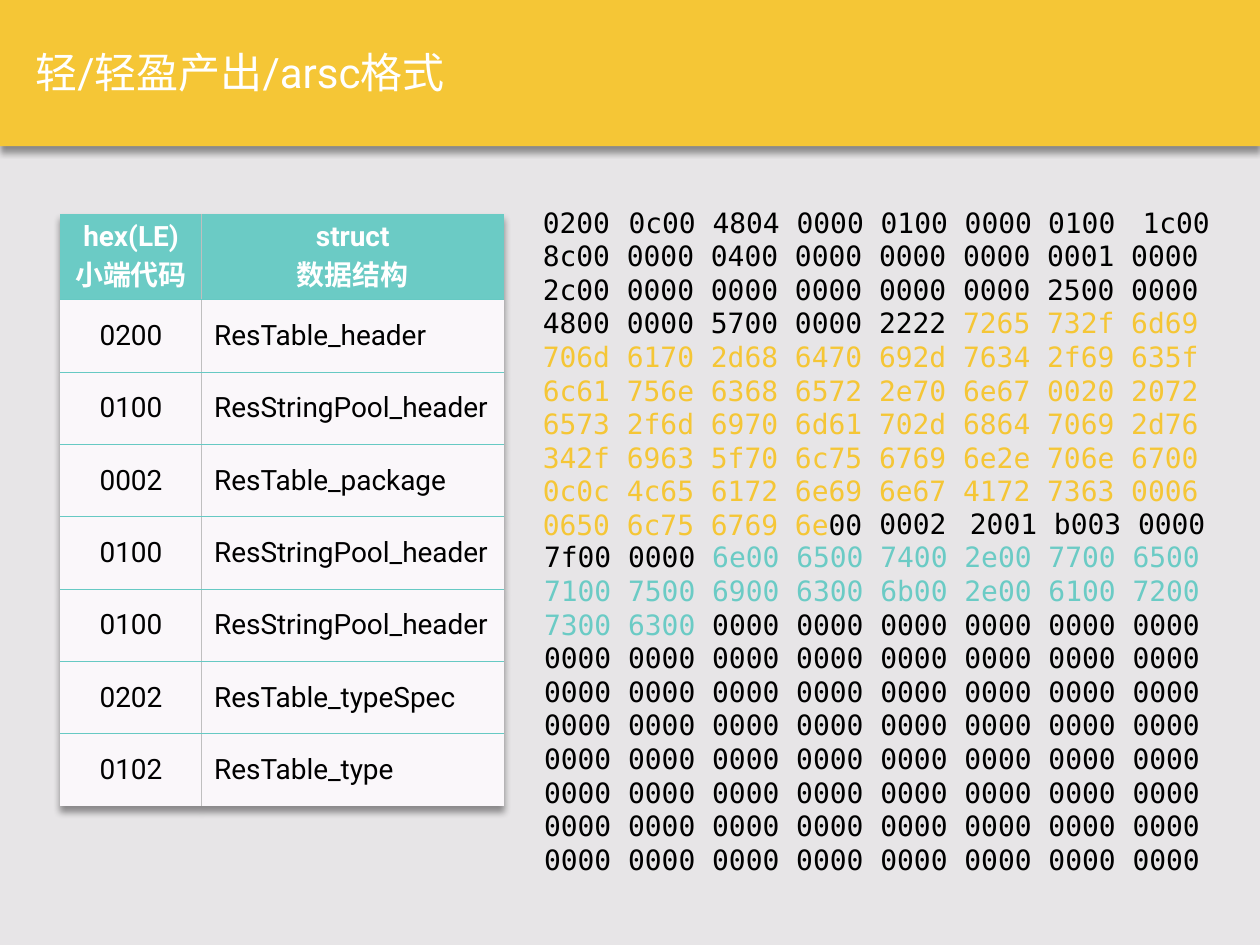
from pptx import Presentation
from pptx.dml.color import RGBColor
from pptx.enum.shapes import MSO_SHAPE
from pptx.enum.text import MSO_ANCHOR, MSO_AUTO_SIZE, PP_ALIGN
from pptx.oxml import parse_xml
from pptx.oxml.ns import nsdecls
from pptx.util import Inches, Pt

HEX = {"back": "E7E5E7", "gold": "F5C636", "teal": "6BCBC5", "rule": "66C9C3",
       "grey": "BFBFBF", "cell": "FAF7FA", "white": "FFFFFF", "black": "000000"}
MONO = "DejaVu Sans Mono"
SHADE = (f'<a:effectLst {nsdecls("a")}><a:outerShdw blurRad="50800" dist="38100" '
         'dir="5400000" algn="t" rotWithShape="0"><a:srgbClr val="000000">'
         '<a:alpha val="40000"/></a:srgbClr></a:outerShdw></a:effectLst>')


def style(font, face, size, color, bold=False):
    font.name, font.size, font.bold = face, Pt(size), bold
    font.color.rgb = RGBColor.from_string(HEX[color])


def paint(fill, color):
    fill.solid()
    fill.fore_color.rgb = RGBColor.from_string(HEX[color])


deck = Presentation()
deck.slide_width, deck.slide_height = Inches(10), Inches(7.5)
slide = deck.slides.add_slide(deck.slide_layouts[5])
paint(slide.background.fill, "back")

# Title on its bar
title = slide.shapes.title
title.left, title.top = Inches(0.18), Inches(-0.02)
title.width, title.height = Inches(5.6), Inches(1.18)
frame = title.text_frame
frame.text = "轻/轻盈产出/arsc格式"
frame.auto_size = MSO_AUTO_SIZE.NONE
frame.vertical_anchor = MSO_ANCHOR.MIDDLE
frame.paragraphs[0].alignment = PP_ALIGN.LEFT
style(frame.paragraphs[0].runs[0].font, "Roboto", 24, "white")

bar = slide.shapes.add_shape(MSO_SHAPE.RECTANGLE, 0, 0, Inches(10), Inches(1.16))
paint(bar.fill, "gold")
bar.line.fill.background()
bar.element.spPr.append(parse_xml(SHADE))
title.element.addprevious(bar.element)

# Table of chunk types
data = [
    ("hex(LE)\n小端代码", "struct\n数据结构"),
    ("0200", "ResTable_header"),
    ("0100", "ResStringPool_header"),
    ("0002", "ResTable_package"),
    ("0100", "ResStringPool_header"),
    ("0100", "ResStringPool_header"),
    ("0202", "ResTable_typeSpec"),
    ("0102", "ResTable_type"),
]
last = len(data) - 1
table = slide.shapes.add_table(len(data), 2, Inches(0.48), Inches(1.7),
                               Inches(3.52), Inches(4.7)).table
table.horz_banding = False
props = table._tbl.tblPr
props[0].text = "{2D5ABB26-0587-4C30-8999-92F81FD0307C}"  # no style, no grid
props.insert(0, parse_xml(SHADE))
table.columns[0].width, table.columns[1].width = Inches(1.12), Inches(2.4)
for r, texts in enumerate(data):
    head = r == 0
    table.rows[r].height = Inches(0.68) if head else Inches(4.02 / last)
    for c, text in enumerate(texts):
        cell = table.cell(r, c)
        cell.text = text
        cell.vertical_anchor = MSO_ANCHOR.MIDDLE
        for para in cell.text_frame.paragraphs:
            para.alignment = PP_ALIGN.CENTER if head or c == 0 else PP_ALIGN.LEFT
            style(para.runs[0].font, "Roboto", 16, "white" if head else "black", head)
        # Grey between columns, teal around every odd row
        lines = [("lnR" if c == 0 else "lnL", "grey", 1)]
        if r % 2:
            lines.append(("lnT", "rule", 0.75))
            if r < last:
                lines.append(("lnB", "rule", 0.75))
        for tag, color, width in lines:
            cell._tc.get_or_add_tcPr().append(parse_xml(
                f'<a:{tag} {nsdecls("a")} w="{Pt(width)}"><a:solidFill>'
                f'<a:srgbClr val="{HEX[color]}"/></a:solidFill></a:{tag}>'))
        paint(cell.fill, "teal" if head else "cell")

# Hex dump: each line is a list of (text, color) spans
zeros = " ".join(["0000"] * 8)
upper = [
    [("1c00", "black")],
    [("8c00 0000 0400 0000 0000 0000 0001 0000", "black")],
    [("2c00 0000 0000 0000 0000 0000 2500 0000", "black")],
    [("4800 0000 5700 0000 2222 ", "black"), ("7265 732f 6d69", "gold")],
    [("706d 6170 2d68 6470 692d 7634 2f69 635f", "gold")],
    [("6c61 756e 6368 6572 2e70 6e67 0020 2072", "gold")],
    [("6573 2f6d 6970 6d61 702d 6864 7069 2d76", "gold")],
    [("342f 6963 5f70 6c75 6769 6e2e 706e 6700", "gold")],
    [("0c0c 4c65 6172 6e69 6e67 4172 7363 0006", "gold")],
    [("0650 6c75 6769 6e", "gold"), ("00", "black")],
]
lower = [
    [("2001 b003 0000", "black")],
    [("7f00 0000 ", "black"), ("6e00 6500 7400 2e00 7700 6500", "teal")],
    [("7100 7500 6900 6300 6b00 2e00 6100 7200", "teal")],
    [("7300 6300", "teal"), (" 0000 0000 0000 0000 0000 0000", "black")],
] + [[(zeros, "black")]] * 7

# left, top, width, height, indent of the first line, lines
blocks = [
    (4.21, 1.58, 0.82, 0.42, 0, [[("0200", "black")]]),
    (4.22, 3.97, 5.6, 3.15, 3.38, lower),
    (4.89, 1.58, 3.54, 0.42, 0, [[("0c00 4804 0000 0100 0000", "black")]]),
    (8.22, 1.58, 0.82, 0.42, 0, [[("0100", "black")]]),
    (4.21, 1.58, 5.6, 2.76, 4.76, upper),
    (6.88, 3.97, 0.82, 0.42, 0, [[("0002", "black")]]),
]
for left, top, width, height, indent, rows in blocks:
    box = slide.shapes.add_textbox(Inches(left), Inches(top), Inches(width), Inches(height))
    frame = box.text_frame
    frame.word_wrap = True
    for i, spans in enumerate(rows):
        para = frame.add_paragraph() if i else frame.paragraphs[0]
        para.line_spacing = Pt(19.2)
        if i == 0 and indent:
            para._p.get_or_add_pPr().set("marL", str(Inches(indent)))
        for text, color in spans:
            run = para.add_run()
            run.text = text
            style(run.font, MONO, 16, color)

deck.save("out.pptx")
